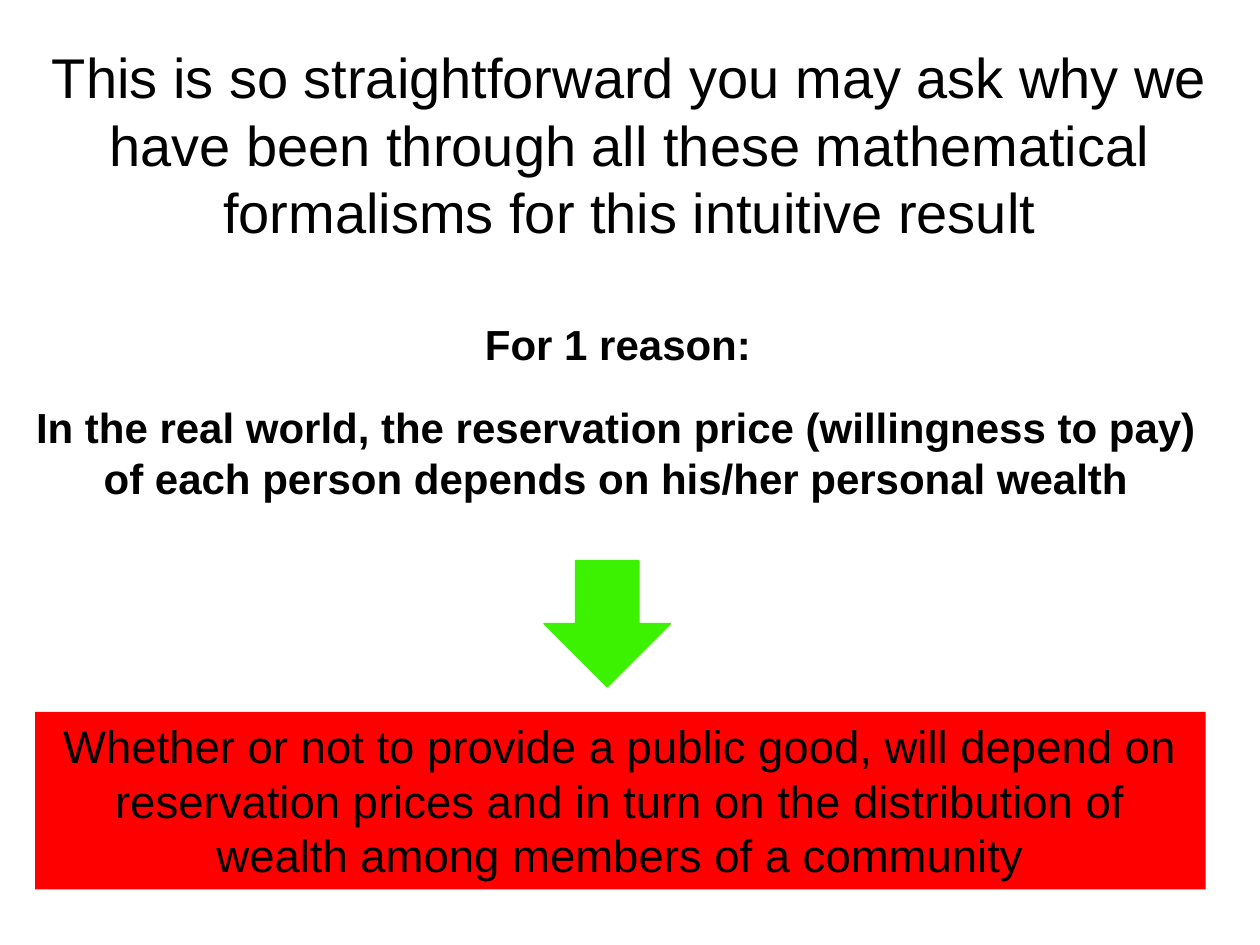
from dataclasses import dataclass
from typing import Optional

import pptx
import pptx.dml.color
import pptx.enum.shapes
import pptx.enum.text
import pptx.util

Pt = pptx.util.Pt
ALIGN = pptx.enum.text.PP_ALIGN
ANCHOR = pptx.enum.text.MSO_ANCHOR
SHAPE = pptx.enum.shapes.MSO_SHAPE

COLOURS = {"text": "000000", "arrow": "3CF200", "conclusion": "FF0000"}
FONT = "Arial"


@dataclass
class Statement:
    text: str
    left: float
    top: float
    width: float
    height: float
    size: float
    bold: bool = False
    align: ALIGN = ALIGN.CENTER
    anchor: ANCHOR = ANCHOR.TOP
    fill: Optional[str] = None


STATEMENTS = [
    Statement(
        "This is so straightforward you may ask why we have been through all "
        "these mathematical formalisms for this intuitive result",
        0, 25.2, 720, 113.8, 32, anchor=ANCHOR.MIDDLE,
    ),
    Statement("For 1 reason:", 270, 178.6, 278, 36, 24, bold=True, align=ALIGN.LEFT),
    Statement(
        "In the real world, the reservation price (willingness to pay) of each "
        "person depends on his/her personal wealth",
        0, 226, 704, 65.5, 24, bold=True,
    ),
    Statement(
        "Whether or not to provide a public good, will depend on reservation "
        "prices and in turn on the distribution of wealth among members of a community",
        20, 406.8, 669, 101.5, 26, fill="conclusion",
    ),
]


def colour(name: str) -> pptx.dml.color.RGBColor:
    return pptx.dml.color.RGBColor.from_string(COLOURS[name])


def add_statement(slide: pptx.slide.Slide, statement: Statement) -> None:
    bounds = [Pt(length) for length in
              (statement.left, statement.top, statement.width, statement.height)]
    if statement.fill:
        shape = slide.shapes.add_shape(SHAPE.RECTANGLE, *bounds)
        shape.shadow.inherit = False
        shape.fill.solid()
        shape.fill.fore_color.rgb = colour(statement.fill)
        shape.line.fill.background()
    else:
        shape = slide.shapes.add_textbox(*bounds)
    frame = shape.text_frame
    frame.word_wrap = True
    frame.vertical_anchor = statement.anchor
    paragraph = frame.paragraphs[0]
    paragraph.alignment = statement.align
    run = paragraph.add_run()
    run.text = statement.text
    run.font.name = FONT
    run.font.size = Pt(statement.size)
    run.font.bold = statement.bold
    run.font.color.rgb = colour("text")


def add_down_arrow(slide: pptx.slide.Slide, left: float, top: float, side: float) -> None:
    arrow = slide.shapes.add_shape(SHAPE.DOWN_ARROW, Pt(left), Pt(top), Pt(side), Pt(side))
    arrow.shadow.inherit = False
    arrow.fill.solid()
    arrow.fill.fore_color.rgb = colour("arrow")
    arrow.line.color.rgb = colour("arrow")
    arrow.line.width = Pt(1)


def main() -> None:
    presentation = pptx.Presentation()
    presentation.slide_width = Pt(720)
    presentation.slide_height = Pt(540)
    slide = presentation.slides.add_slide(presentation.slide_layouts[6])
    *reasoning, conclusion = STATEMENTS
    for statement in reasoning:
        add_statement(slide, statement)
    add_down_arrow(slide, 311, 320.4, 72)
    add_statement(slide, conclusion)
    presentation.save("out.pptx")


if __name__ == "__main__":
    main()
